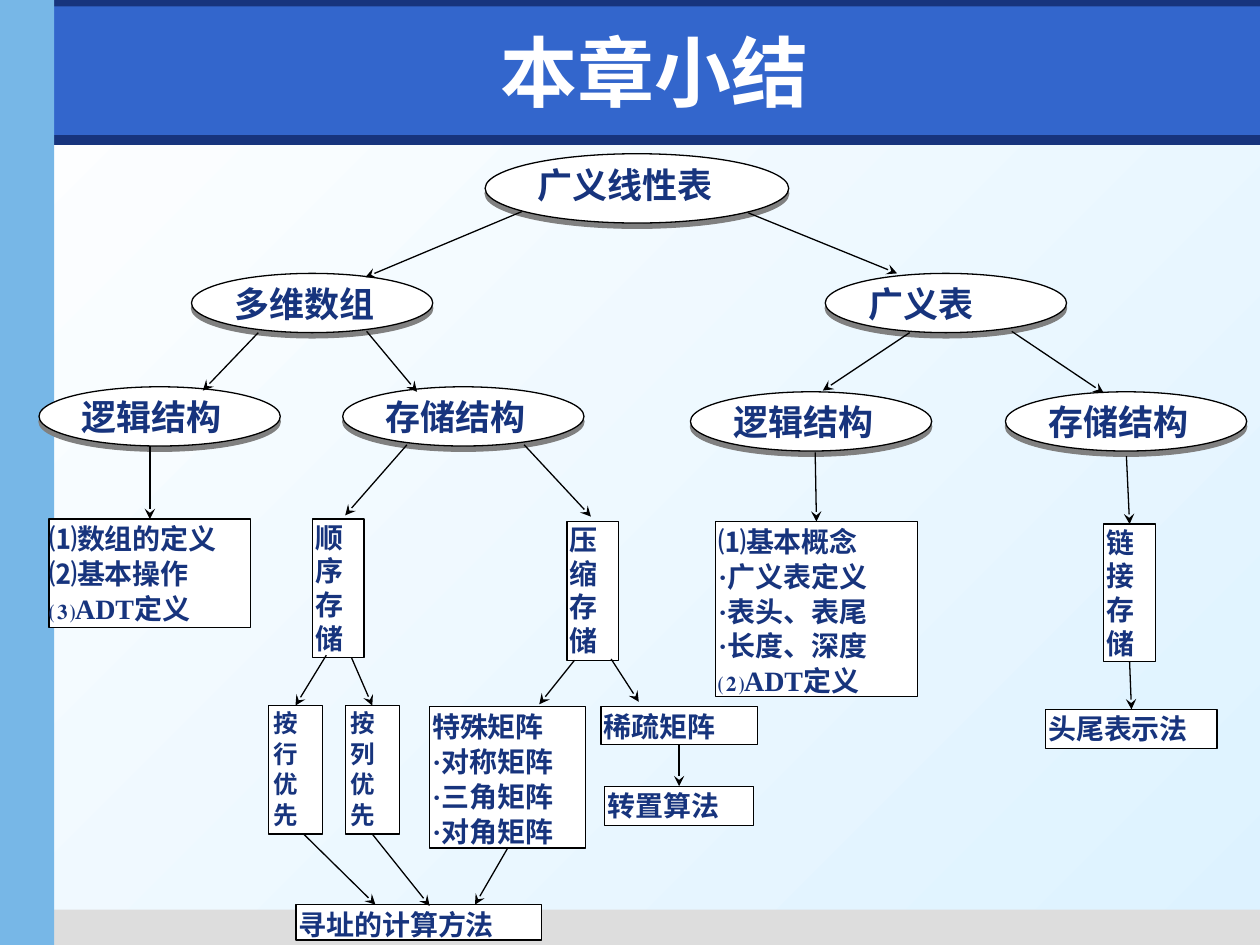
from dataclasses import dataclass
from typing import NamedTuple, Union

from lxml import etree
from pptx import Presentation
from pptx import util as u
from pptx.dml.color import RGBColor
from pptx.enum import shapes, text
from pptx.oxml import ns

# The slide is a grid of square cells, a tenth of an inch each
COLUMNS, ROWS = 100, 75
CELL = u.Inches(0.1)


@dataclass(frozen=True)
class Theme:
    ink: str = "17347D"
    banner: str = "3366CC"
    side: str = "77B7E7"
    foot: str = "DDDDDD"
    paper: str = "FFFFFF"
    sky: str = "DDF2FF"
    edge: str = "000000"
    shade: str = "808080"
    body_font: str = "Times New Roman"
    title_font: str = "DejaVu Sans"
    title_size: int = 44
    topic_size: int = 20
    note_size: int = 16
    small_size: int = 14
    line_width: float = 0.75
    note_spacing: float = 1.04


THEME = Theme()


class Area(NamedTuple):
    column: float
    row: float
    columns: float
    rows: float


class Point(NamedTuple):
    column: float
    row: float


class Topic(NamedTuple):
    label: str
    area: Area


class Note(NamedTuple):
    name: str
    lines: tuple[str, ...]
    area: Area
    size: int = THEME.note_size
    spacing: float = THEME.note_spacing
    indent: float = 0.2


class Arrow(NamedTuple):
    """An end is a grid point, or the name of a note to join."""
    start: Union[Point, str]
    end: Union[Point, str]


BANDS = [
    (Area(0.4, 10.7, 99.6, 0.8), THEME.ink),
    (Area(3.5, 72.2, 96.5, 2.8), THEME.foot),
    (Area(0, 0, COLUMNS, 2.1), THEME.ink),
    (Area(4.3, 0.5, 95.7, 10.2), THEME.banner),
    (Area(0, 0, 4.3, ROWS), THEME.side),
]

WIDE, TALL = 19.15, 4.7
TOPICS = [
    Topic("广义线性表", Area(38.5, 12.2, 24.1, 5.5)),
    Topic("多维数组", Area(15.2, 21.7, WIDE, TALL)),
    Topic("广义表", Area(65.5, 21.7, WIDE, TALL)),
    Topic("逻辑结构", Area(3.1, 30.7, WIDE, TALL)),
    Topic("存储结构", Area(27.2, 30.7, WIDE, TALL)),
    Topic("逻辑结构", Area(54.8, 31.1, WIDE, TALL)),
    Topic("存储结构", Area(79.8, 31.1, WIDE, TALL)),
]

NOTES = [
    Note("array logic", ("⑴数组的定义", "⑵基本操作", "⑶ADT定义"),
         Area(3.9, 41.2, 16, 8.6), indent=0),
    Note("sequential", ("顺序存储",), Area(24.8, 41.2, 4.1, 11), spacing=1),
    Note("compressed", ("压缩存储",), Area(45, 41.4, 4.1, 11), spacing=1),
    Note("special", ("特殊矩阵", "·对称矩阵", "·三角矩阵", "·对角矩阵"),
         Area(34.1, 56.1, 12.4, 11.2)),
    Note("sparse", ("稀疏矩阵",), Area(47.7, 56.1, 12.4, 3)),
    Note("by row", ("按行优先",), Area(21.3, 56, 4.3, 10.2), THEME.small_size, indent=0.4),
    Note("by column", ("按列优先",), Area(27.4, 56, 4.3, 10.2), THEME.small_size, indent=0.4),
    Note("addressing", ("寻址的计算方法",), Area(23.5, 71.8, 19.5, 2.8)),
    Note("list logic", ("⑴基本概念", "·广义表定义", "·表头、表尾", "·长度、深度", "⑵ADT定义"),
         Area(56.8, 41.4, 16, 13.9)),
    Note("linked", ("链接存储",), Area(87.6, 41.6, 4.1, 10.9), spacing=1),
    Note("head and tail", ("头尾表示法",), Area(83, 56.3, 13.6, 3.1)),
    Note("transpose", ("转置算法",), Area(48, 62.4, 11.8, 3.1)),
]

ARROWS = [
    # Between topics
    Arrow(Point(41.4, 16.8), Point(29, 22)),
    Arrow(Point(59.4, 16.9), Point(71.2, 21.7)),
    Arrow(Point(20.5, 26.4), Point(16.1, 31)),
    Arrow(Point(29.1, 26.3), Point(33.1, 31.1)),
    Arrow(Point(72.2, 26.4), Point(65.3, 31)),
    Arrow(Point(80.3, 26.3), Point(87.6, 31.2)),
    # From topics to notes
    Arrow(Point(11.9, 35.4), "array logic"),
    Arrow(Point(32.3, 35.3), Point(27.4, 40.9)),
    Arrow(Point(41.6, 35.3), Point(46.9, 41)),
    Arrow(Point(64.7, 35.9), "list logic"),
    Arrow(Point(89.4, 36.2), "linked"),
    # Between notes
    Arrow(Point(25.9, 52), "by row"),
    Arrow(Point(27.9, 52.2), "by column"),
    Arrow(Point(45.6, 52.4), Point(42.8, 55.9)),
    Arrow(Point(48.5, 52.3), Point(50.7, 55.7)),
    Arrow("linked", "head and tail"),
    Arrow("sparse", "transpose"),
    Arrow(Point(24.1, 66.2), Point(29.8, 71.8)),
    Arrow("by column", Point(34.1, 71.9)),
    Arrow("special", Point(37.7, 71.8)),
]


def cells(*counts: float) -> list[int]:
    return [round(count * CELL) for count in counts]


def rgb(value: str) -> RGBColor:
    return RGBColor.from_string(value)


def add_filled(page, kind, area: Area, color: str):
    shape = page.shapes.add_shape(kind, *cells(*area))
    shape.shadow.inherit = False
    shape.fill.solid()
    shape.fill.fore_color.rgb = rgb(color)
    shape.line.fill.background()
    return shape


def write(box, lines: tuple[str, ...], font: str, size: int, color: str,
          align=text.PP_ALIGN.LEFT, spacing: float = 1) -> None:
    frame = box.text_frame
    frame.word_wrap = True
    for index, line in enumerate(lines):
        para = frame.paragraphs[0] if index == 0 else frame.add_paragraph()
        para.add_run().text = line
        para.alignment, para.line_spacing = align, spacing
        para.font.name, para.font.size, para.font.bold = font, u.Pt(size), True
        para.font.color.rgb = rgb(color)


def add_outlined(page, kind, area: Area, insets: tuple[float, float, float]):
    """Draw a framed white shape; insets are left, right and top/bottom cells."""
    box = add_filled(page, kind, area, THEME.paper)
    box.line.color.rgb = rgb(THEME.edge)
    box.line.width = u.Pt(THEME.line_width)
    frame = box.text_frame
    frame.vertical_anchor = text.MSO_ANCHOR.TOP
    frame.margin_left, frame.margin_right, frame.margin_top = cells(*insets)
    frame.margin_bottom = frame.margin_top
    return box


def add_topic(page, topic: Topic) -> None:
    box = add_outlined(page, shapes.MSO_SHAPE.OVAL, topic.area, (0.6, 0.6, 0))
    write(box, (topic.label,), THEME.body_font, THEME.topic_size, THEME.ink)
    effects = box._element.spPr.find(ns.qn("a:effectLst"))
    shadow = etree.SubElement(effects, ns.qn("a:outerShdw"), dist=str(u.Pt(3)),
                              dir="5400000", algn="ctr", rotWithShape="0")
    etree.SubElement(shadow, ns.qn("a:srgbClr"), val=THEME.shade)


def add_note(page, note: Note):
    box = add_outlined(page, shapes.MSO_SHAPE.RECTANGLE, note.area,
                       (note.indent, min(note.indent, 0.2), 0.1))
    write(box, note.lines, THEME.body_font, note.size, THEME.ink, spacing=note.spacing)
    return box


def add_arrow(page, arrow: Arrow, boxes: dict) -> None:
    start, end = (Point(0, 0) if isinstance(tip, str) else tip for tip in arrow)
    line = page.shapes.add_connector(shapes.MSO_CONNECTOR.STRAIGHT, *cells(*start, *end))
    if isinstance(arrow.start, str):
        line.begin_connect(boxes[arrow.start], 2)
    if isinstance(arrow.end, str):
        line.end_connect(boxes[arrow.end], 0)
    line.line.color.rgb = rgb(THEME.edge)
    line.line.width = u.Pt(THEME.line_width)
    etree.SubElement(line.line._get_or_add_ln(), ns.qn("a:tailEnd"), type="stealth")
    etree.SubElement(line._element.spPr, ns.qn("a:effectLst"))


def main() -> None:
    deck = Presentation()
    deck.slide_width, deck.slide_height = cells(COLUMNS, ROWS)
    page = deck.slides.add_slide(deck.slide_layouts[6])

    # Background and bands
    fill = page.background.fill
    fill.gradient()
    fill.gradient_angle = 315
    for stop, color in zip(fill.gradient_stops, (THEME.paper, THEME.sky)):
        stop.color.rgb = rgb(color)
    for area, color in BANDS:
        add_filled(page, shapes.MSO_SHAPE.RECTANGLE, area, color)

    # Concept tree
    for topic in TOPICS:
        add_topic(page, topic)
    boxes = {note.name: add_note(page, note) for note in NOTES}
    for arrow in ARROWS:
        add_arrow(page, arrow, boxes)

    # Title
    title = page.shapes.add_textbox(*cells(5.9, 1.3, 92.1, 8.7))
    title.text_frame.vertical_anchor = text.MSO_ANCHOR.MIDDLE
    write(title, ("本章小结",), THEME.title_font, THEME.title_size, THEME.paper,
          text.PP_ALIGN.CENTER)

    deck.save("out.pptx")


if __name__ == "__main__":
    main()
